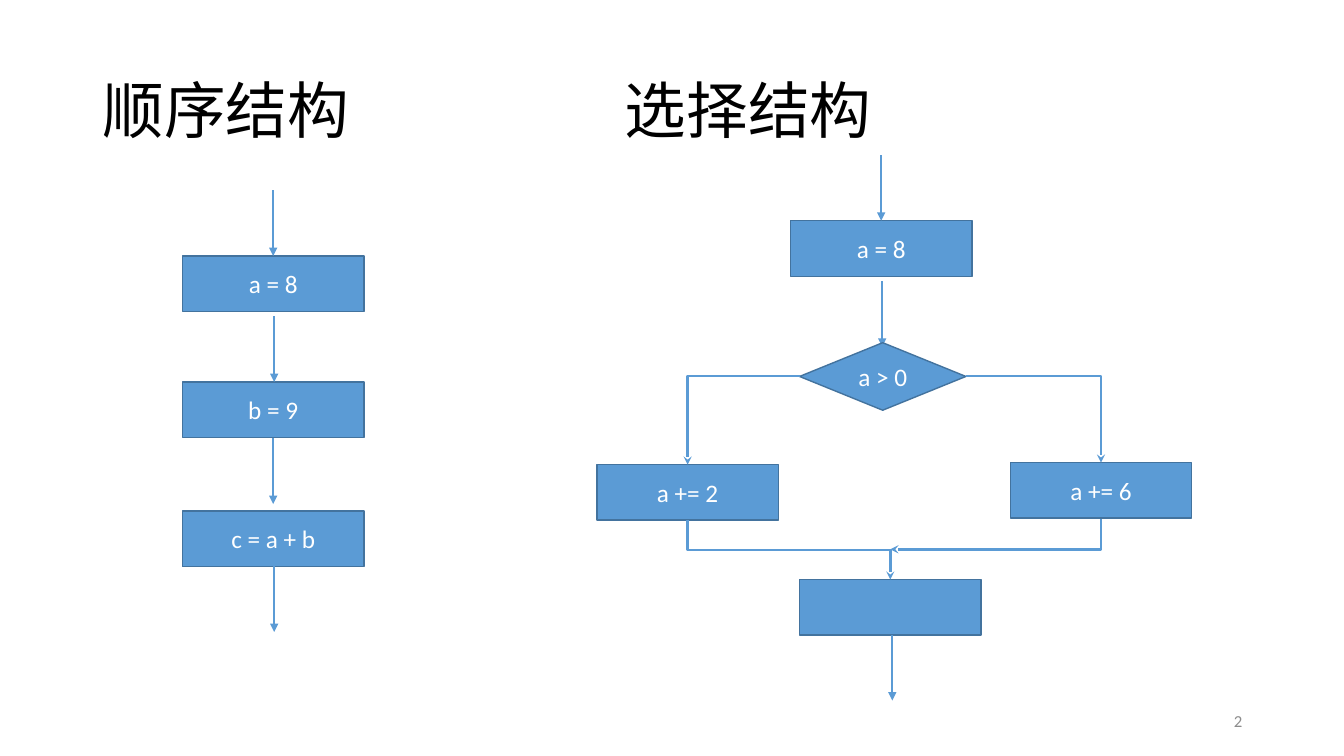
from math import copysign
from pptx import Presentation
from pptx.dml.color import RGBColor
from pptx.enum.shapes import MSO_CONNECTOR, MSO_SHAPE
from pptx.enum.text import MSO_ANCHOR, PP_ALIGN
from pptx.oxml.ns import qn
from pptx.util import Inches, Pt
from lxml.etree import SubElement

COLORS = {
    "fill": "5B9BD5",
    "edge": "43739E",
    "white": "FFFFFF",
    "black": "000000",
    "gray": "8C8C8C",
}


class Chart:
    """Draws flowchart parts on one slide in a shared style."""

    font = "Calibri"
    title_font = "Noto Sans CJK SC"

    def __init__(self, slide):
        self.slide = slide

    def color(self, name):
        return RGBColor.from_string(COLORS[name])

    def fill_text(self, frame, text, size, color, align, font=font):
        frame.word_wrap = True
        frame.vertical_anchor = MSO_ANCHOR.MIDDLE
        para = frame.paragraphs[0]
        para.alignment = align
        run = para.add_run()
        run.text = text
        run.font.size = Pt(size)
        run.font.color.rgb = self.color(color)
        run.font.name = font
        SubElement(run.font._element, qn("a:ea"), typeface=font)
        return para

    def label(self, area, *style):
        box = self.slide.shapes.add_textbox(*map(Inches, area))
        return self.fill_text(box.text_frame, *style)

    def title(self, heads, area, stop):
        para = self.label(area, "\t".join(heads), 44, "black", PP_ALIGN.LEFT, self.title_font)
        para.line_spacing = 0.9
        tabs = SubElement(para._p.get_or_add_pPr(), qn("a:tabLst"))
        SubElement(tabs, qn("a:tab"), pos=str(Inches(stop)), algn="l")

    def node(self, text, x, y, w=1.8, h=0.55, kind=MSO_SHAPE.FLOWCHART_PROCESS):
        shape = self.slide.shapes.add_shape(kind, *map(Inches, (x, y, w, h)))
        shape.shadow.inherit = False
        shape.fill.solid()
        shape.fill.fore_color.rgb = self.color("fill")
        shape.line.color.rgb = self.color("edge")
        shape.line.width = Pt(1)
        if text:
            self.fill_text(shape.text_frame, text, 18, "white", PP_ALIGN.CENTER)

    def link(self, kind, ends, width, head):
        line = self.slide.shapes.add_connector(kind, *map(Inches, ends))
        line.line.color.rgb = self.color("fill")
        line.line.width = Pt(width)
        SubElement(line.line._get_or_add_ln(), qn("a:tailEnd"), type=head)
        props = line._element.spPr
        SubElement(props, qn("a:effectLst"))
        return props

    def arrow(self, x, y, drop=0.65):
        self.link(MSO_CONNECTOR.STRAIGHT, (x, y, x, y + drop), 1.25, "triangle")

    def elbow(self, ends, preset="bentConnector2", turn=0):
        props = self.link(MSO_CONNECTOR.ELBOW, ends, 1.75, "stealth")
        props.find(qn("a:prstGeom")).set("prst", preset)
        props.find(qn("a:xfrm")).set("rot", str(turn * 60000))

    def merge(self, x1, y1, x2, y2, preset):
        mid_x, mid_y = (x1 + x2) / 2, (y1 + y2) / 2
        half = copysign((y2 - y1) / 2, x2 - x1)
        reach = abs(x2 - x1) / 2
        ends = (mid_x + half, mid_y - reach, mid_x - half, mid_y + reach)
        self.elbow(ends, preset, 270 if x2 > x1 else 90)


def main():
    deck = Presentation()
    deck.slide_width, deck.slide_height = Inches(13.33), Inches(7.5)
    chart = Chart(deck.slides.add_slide(deck.slide_layouts[6]))

    chart.title(("顺序结构", "选择结构"), (0.92, 0.4, 11.5, 1.45), 5.18)
    chart.label((9.42, 6.95, 3, 0.4), "2", 12, "gray", PP_ALIGN.RIGHT)

    for text, y in (("a = 8", 2.54), ("b = 9", 3.79), ("c = a + b", 5.07)):
        chart.node(text, 1.81, y)
    for x, y in ((2.71, 1.89), (2.72, 3.14), (2.71, 4.35), (2.72, 5.62)):
        chart.arrow(x, y)

    for text, x, y in (
        ("a = 8", 7.84, 2.19),
        ("a += 2", 5.92, 4.61),
        ("", 7.93, 5.75),
        ("a += 6", 10.02, 4.59),
    ):
        chart.node(text, x, y)
    for x, y in ((8.74, 1.54), (8.75, 2.79), (8.85, 6.3)):
        chart.arrow(x, y)
    chart.node("a > 0", 7.93, 3.4, 1.65, 0.67, MSO_SHAPE.FLOWCHART_DECISION)

    chart.elbow((7.93, 3.73, 6.82, 4.61))
    chart.elbow((9.58, 3.73, 10.92, 4.59))
    chart.merge(6.82, 5.16, 8.83, 5.75, "bentConnector3")
    chart.merge(10.92, 5.15, 8.83, 5.45, "bentConnector2")
    deck.save("out.pptx")


if __name__ == "__main__":
    main()
